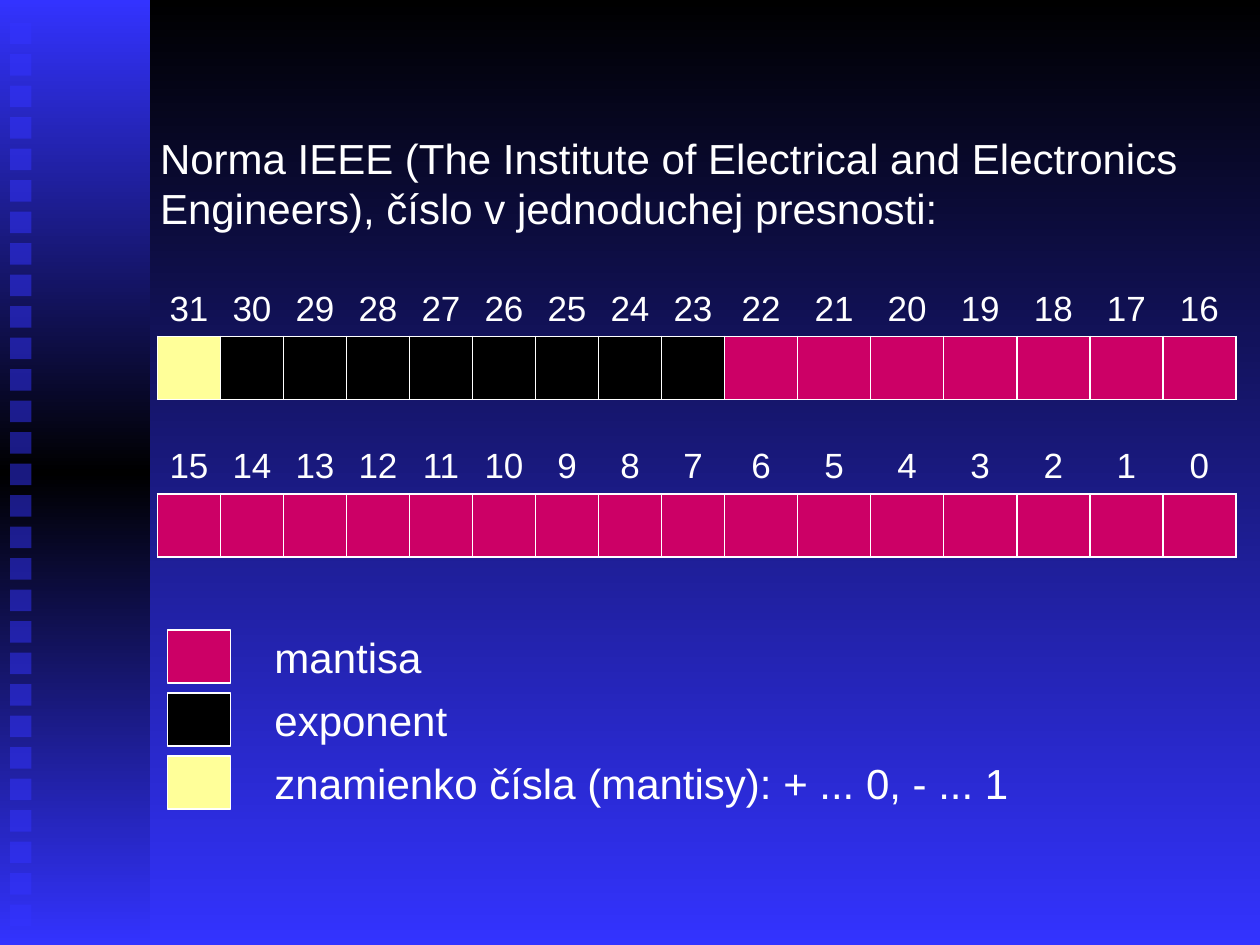
from copy import deepcopy

from lxml.etree import SubElement
from pptx import Presentation
from pptx.dml.color import RGBColor
from pptx.enum.shapes import MSO_SHAPE
from pptx.enum.text import MSO_ANCHOR, MSO_AUTO_SIZE, PP_ALIGN
from pptx.oxml.ns import qn
from pptx.util import Inches, Pt

BLUE, BLACK, WHITE = "3333FF", "000000", "FFFFFF"
MANTISSA, EXPONENT, SIGN = "CC0066", BLACK, "FFFF99"
NO_STYLE = "{2D5ABB26-0587-4C30-8999-92F81FD0307C}"

BIT_COLUMNS = [0.5] * 9 + [0.58] * 7
LEGEND = [
    (MANTISSA, "mantisa"),
    (EXPONENT, "exponent"),
    (SIGN, "znamienko čísla (mantisy): + ... 0, - ... 1"),
]


def colour(code):
    return RGBColor.from_string(code)


def fill_gradient(element, fill, codes):
    """Vertical gradient with evenly spaced stops."""
    fill.gradient()
    fill.gradient_angle = 270
    stop_list = next(element.iter(qn("a:gsLst")))
    while len(stop_list) < len(codes):
        stop_list.append(deepcopy(stop_list[-1]))
    for index, (stop, code) in enumerate(zip(fill.gradient_stops, codes)):
        stop.color.rgb = colour(code)
        stop.position = index / (len(codes) - 1)


def write_text(frame, text, size=24, align=PP_ALIGN.LEFT, anchor=MSO_ANCHOR.TOP):
    frame.word_wrap = True
    frame.vertical_anchor = anchor
    para = frame.paragraphs[0]
    para.alignment = align
    span = para.add_run()
    span.text = text
    span.font.name = "Arial"
    span.font.size = Pt(size)
    span.font.color.rgb = colour(WHITE)


def add_rectangle(page, left, top, width, height, fill=None, line=None, alpha=None):
    shape = page.shapes.add_shape(
        MSO_SHAPE.RECTANGLE, Inches(left), Inches(top), Inches(width), Inches(height))
    shape.shadow.inherit = False
    if fill:
        shape.fill.solid()
        shape.fill.fore_color.rgb = colour(fill)
    if alpha:
        code = next(shape.element.spPr.iter(qn("a:srgbClr")))
        SubElement(code, qn("a:alpha"), val=str(alpha * 1000))
    if line:
        shape.line.color.rgb = colour(line)
        shape.line.width = Pt(0.75)
    else:
        shape.line.fill.background()
    return shape


def add_side_band(page):
    band = add_rectangle(page, 0, 0, 1.19, 7.5)
    fill_gradient(band.element, band.fill, [BLUE, BLACK, BLUE])
    for index in range(29):
        add_rectangle(page, 0.08, 0.18 + 0.25 * index, 0.17, 0.17, BLUE, alpha=50)


def add_heading(page, text):
    title = page.shapes.title
    title.left, title.top = Inches(1.17), Inches(1)
    title.width, title.height = Inches(8.83), Inches(0.9)
    write_text(title.text_frame, text)
    title.text_frame.auto_size = MSO_AUTO_SIZE.NONE


def set_borders(cell, sides):
    properties = cell._tc.get_or_add_tcPr()
    for position, side in enumerate(sides):
        line = properties.makeelement(qn(f"a:ln{side}"), w=str(Pt(1)))
        solid = SubElement(line, qn("a:solidFill"))
        SubElement(solid, qn("a:srgbClr"), val=WHITE)
        properties.insert(position, line)  # borders come before the fill


def add_bit_table(page, top, first_bit, fills):
    frame = page.shapes.add_table(
        2, len(BIT_COLUMNS), Inches(1.25), Inches(top),
        Inches(sum(BIT_COLUMNS)), Inches(0.92))
    table = frame.table
    table.first_row = table.horz_banding = False
    next(table._tbl.iter(qn("a:tableStyleId"))).text = NO_STYLE
    for row, height in zip(table.rows, (0.42, 0.5)):
        row.height = Inches(height)
    for index, (width, fill) in enumerate(zip(BIT_COLUMNS, fills)):
        table.columns[index].width = Inches(width)
        # Bit number above
        number = table.cell(0, index)
        number.margin_left = number.margin_right = Inches(0.04)
        number.margin_top, number.margin_bottom = Inches(0.05), 0
        write_text(number.text_frame, str(first_bit - index), 20, PP_ALIGN.CENTER)
        number.fill.background()
        set_borders(number, "B")
        # Coloured bit below
        bit = table.cell(1, index)
        bit.fill.solid()
        bit.fill.fore_color.rgb = colour(fill)
        set_borders(bit, "LRTB")


def add_legend(page):
    for index, (fill, label) in enumerate(LEGEND):
        top = 5 + 0.5 * index
        add_rectangle(page, 1.33, top, 0.5, 0.42, fill, line=WHITE)
        box = page.shapes.add_textbox(
            Inches(2.08), Inches(top - 0.08), Inches(7.92), Inches(0.54))
        box.text_frame.margin_top = Inches(0.09)
        write_text(box.text_frame, label)


def main():
    deck = Presentation()
    deck.slide_width, deck.slide_height = Inches(10), Inches(7.5)
    page = deck.slides.add_slide(deck.slide_layouts[5])
    fill_gradient(page.element, page.background.fill, [BLACK, BLUE])
    add_side_band(page)
    add_heading(page, "Norma IEEE (The Institute of Electrical and Electronics "
                      "Engineers), číslo v jednoduchej presnosti:")
    # Upper and lower half of the 32-bit word
    add_bit_table(page, 2.25, 31, [SIGN] + [EXPONENT] * 8 + [MANTISSA] * 7)
    add_bit_table(page, 3.5, 15, [MANTISSA] * 16)
    add_legend(page)
    deck.save("out.pptx")


if __name__ == "__main__":
    main()
